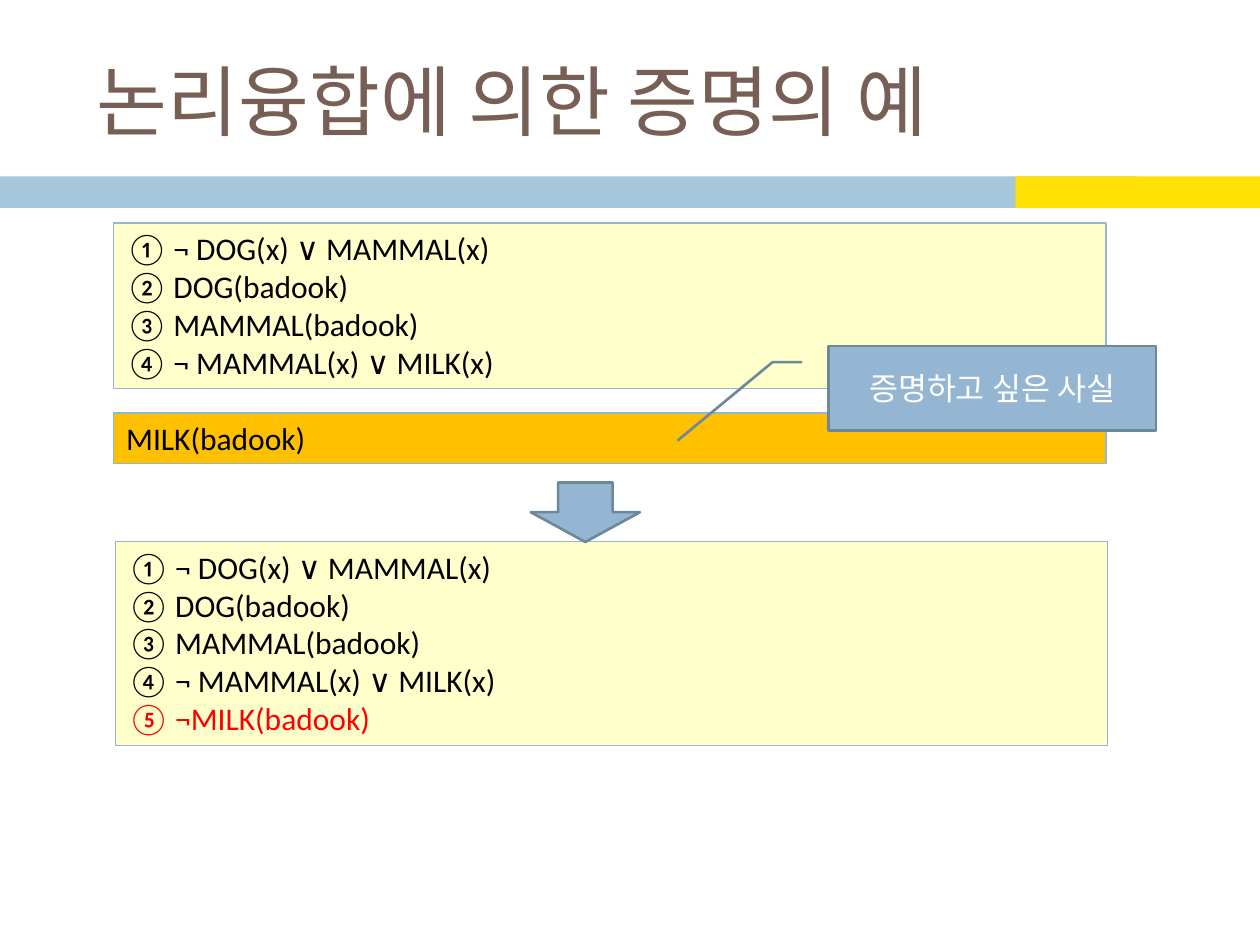
from lxml import etree
from pptx import Presentation
from pptx.dml.color import RGBColor
from pptx.enum.shapes import MSO_SHAPE
from pptx.enum.text import MSO_ANCHOR, PP_ALIGN
from pptx.oxml.ns import qn
from pptx.util import Pt

RECTANGLE = MSO_SHAPE.RECTANGLE
CALLOUT = MSO_SHAPE.LINE_CALLOUT_2
DOWN_ARROW = MSO_SHAPE.DOWN_ARROW
TOP, MIDDLE = MSO_ANCHOR.TOP, MSO_ANCHOR.MIDDLE
LEFT, CENTER = PP_ALIGN.LEFT, PP_ALIGN.CENTER

BLACK = RGBColor(0x00, 0x00, 0x00)
WHITE = RGBColor(0xFF, 0xFF, 0xFF)
RED = RGBColor(0xFF, 0x00, 0x00)
BROWN = RGBColor(0x77, 0x5F, 0x55)
PALE_BLUE = RGBColor(0xA5, 0xC6, 0xDB)
YELLOW = RGBColor(0xFE, 0xE0, 0x02)
CREAM = RGBColor(0xFF, 0xFF, 0xCC)
AMBER = RGBColor(0xFF, 0xC0, 0x00)
BLUE = RGBColor(0x94, 0xB6, 0xD2)
DARK_BLUE = RGBColor(0x6D, 0x87, 0x9B)

FONT = "Calibri"
INDENT = 27
TITLE = "논리융합에 의한 증명의 예"
GOAL = "MILK(badook)"
CALLOUT_TEXT = "증명하고 싶은 사실"
CLAUSES = [
    ("¬ DOG(x) ∨ MAMMAL(x)", BLACK),
    ("DOG(badook)", BLACK),
    ("MAMMAL(badook)", BLACK),
    ("¬ MAMMAL(x) ∨ MILK(x)", BLACK),
]
NEGATED_GOAL = ("¬MILK(badook)", RED)

THIN = (BLUE, 0.75)
THICK = (DARK_BLUE, 1.5)
CALLOUT_POINTS = [0.19, -0.08, 0.19, -0.17, 1.12, -0.46]

SHAPES = [
    dict(kind=RECTANGLE, at=(0, 100.8, 649.4, 18), fill=PALE_BLUE),
    dict(kind=RECTANGLE, at=(580.3, 100.8, 139.7, 18), fill=YELLOW),
    dict(kind=RECTANGLE, at=(65, 127.5, 567, 94.5), fill=CREAM, line=THIN,
         lines=CLAUSES, numbered=True),
    dict(kind=RECTANGLE, at=(65, 236, 567, 29), fill=AMBER, line=THIN,
         lines=[(GOAL, BLACK)]),
    dict(kind=CALLOUT, at=(473.3, 197.8, 187.2, 48.2), fill=BLUE, line=THICK,
         lines=[(CALLOUT_TEXT, WHITE)], anchor=MIDDLE, align=CENTER,
         adjustments=CALLOUT_POINTS),
    dict(kind=RECTANGLE, at=(66, 309.5, 567, 116.5), fill=CREAM, line=THIN,
         lines=CLAUSES + [NEGATED_GOAL], numbered=True),
    dict(kind=DOWN_ARROW, at=(303.3, 275.7, 62.4, 34), fill=BLUE, line=THICK),
]


def write_lines(box, lines, size, anchor=TOP, align=LEFT, numbered=False):
    frame = box.text_frame
    frame.word_wrap = True
    frame.vertical_anchor = anchor
    for index, (text, color) in enumerate(lines):
        para = frame.add_paragraph() if index else frame.paragraphs[0]
        para.alignment = align
        if numbered:
            properties = para._p.get_or_add_pPr()
            properties.set("marL", str(Pt(INDENT)))
            properties.set("indent", str(-Pt(INDENT)))
            number = etree.SubElement(properties, qn("a:buAutoNum"))
            number.set("type", "circleNumDbPlain")
        span = para.add_run()
        span.text = text
        for name, value in dict(name=FONT, size=Pt(size), bold=False).items():
            setattr(span.font, name, value)
        span.font.color.rgb = color


def add_box(page, kind, at, fill, line=None, lines=(), adjustments=(), **layout):
    box = page.shapes.add_shape(kind, *map(Pt, at))
    box.shadow.inherit = False
    box.fill.solid()
    box.fill.fore_color.rgb = fill
    if line:
        box.line.color.rgb, box.line.width = line[0], Pt(line[1])
    else:
        box.line.fill.background()
    for index, value in enumerate(adjustments):
        box.adjustments[index] = value
    write_lines(box, lines, 18, **layout)


def main():
    deck = Presentation()
    deck.slide_width, deck.slide_height = Pt(720), Pt(540)
    page = deck.slides.add_slide(deck.slide_layouts[5])
    title = page.shapes.title
    place = dict(left=48.2, top=18, width=642.2, height=77.8)
    for name, value in place.items():
        setattr(title, name, Pt(value))
    write_lines(title, [(TITLE, BROWN)], 44, anchor=MIDDLE)
    for shape in SHAPES:
        add_box(page, **shape)
    deck.save("out.pptx")


if __name__ == "__main__":
    main()
